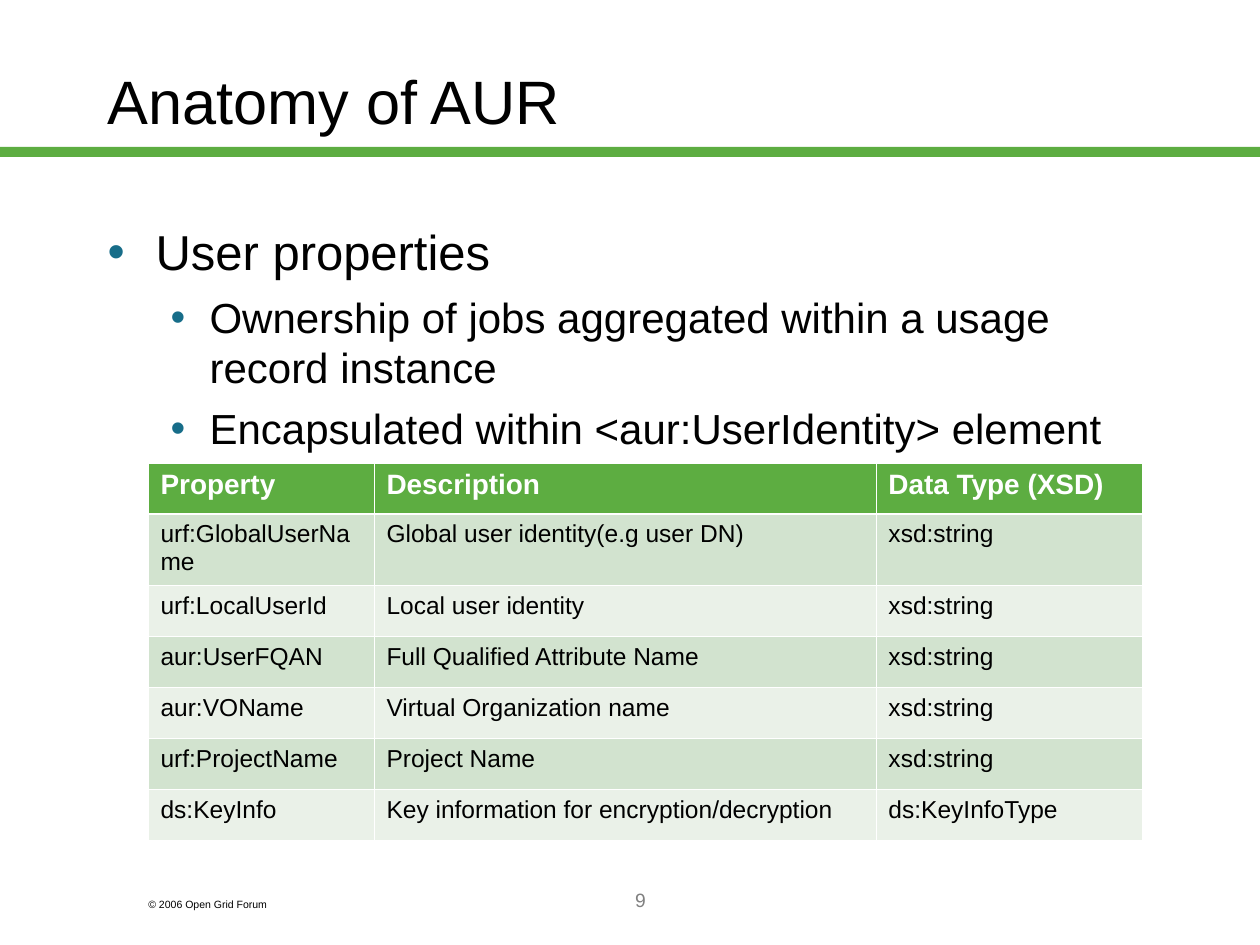
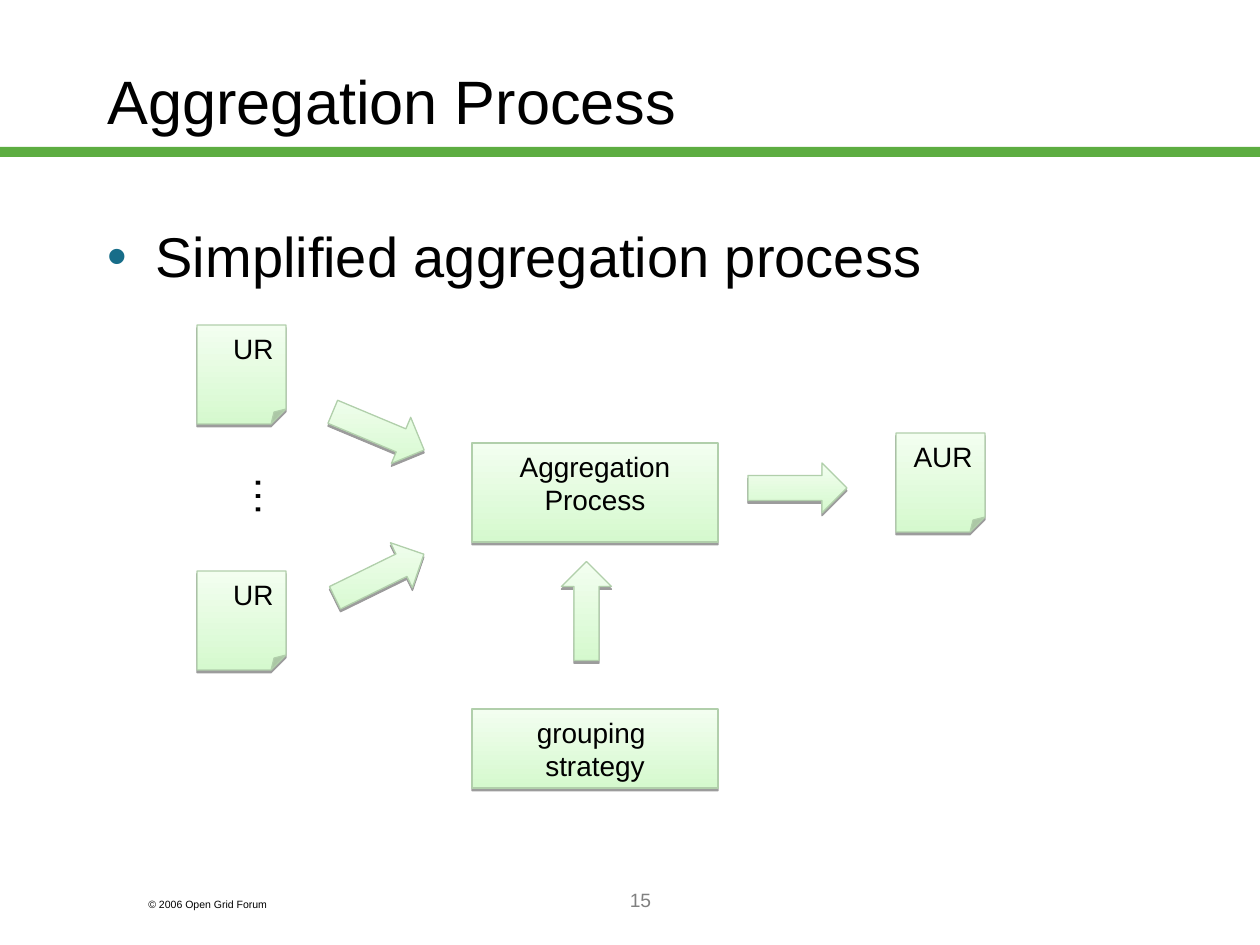
from lxml.etree import SubElement
from pptx import Presentation
from pptx.dml.color import RGBColor
from pptx.enum.shapes import MSO_SHAPE as SHAPE
from pptx.enum.text import MSO_ANCHOR as ANCHOR, MSO_AUTO_SIZE as AUTO, PP_ALIGN as ALIGN
from pptx.oxml.ns import qn
from pptx.util import Emu, Pt

SCALE = 914400 / 126  # EMU per px
FONT = "Arial"
BLACK, WHITE, GREY = "000000", "FFFFFF", "808080"
GREEN, BULLET = "5DAD41", "176D89"
ROW_FILLS = ("D2E3CF", "EAF1E8")
GRADIENT, OUTLINE = ("D5F9CE", "F3FEF0"), "B1CFAB"
INDENTS = ((48, 48), (102, 39))  # text offset and hanging part per level

USER_PROPERTIES = (
    ("Property", "Description", "Data Type (XSD)"),
    ("urf:GlobalUserName", "Global user identity(e.g user DN)", "xsd:string"),
    ("urf:LocalUserId", "Local user identity", "xsd:string"),
    ("aur:UserFQAN", "Full Qualified Attribute Name", "xsd:string"),
    ("aur:VOName", "Virtual Organization name", "xsd:string"),
    ("urf:ProjectName", "Project Name", "xsd:string"),
    ("ds:KeyInfo", "Key information for encryption/decryption", "ds:KeyInfoType"),
)


def px(n):
    return Emu(round(n * SCALE))


def rgb(value):
    return RGBColor.from_string(value)


def set_attrs(obj, fmt):
    for name, value in fmt.items():
        setattr(obj, name, value)


def place(sp, left, top, width, height):
    set_attrs(sp, dict(left=px(left), top=px(top), width=px(width), height=px(height)))


def write(p, text, size, color=BLACK, bold=False, align=ALIGN.LEFT):
    p.alignment = align
    r = p.add_run()
    r.text = text
    set_attrs(r.font, dict(name=FONT, size=Pt(size), bold=bold))
    r.font.color.rgb = rgb(color)


def write_lines(tf, text, size, **fmt):
    for i, line in enumerate(text.split("\n")):
        write(tf.add_paragraph() if i else tf.paragraphs[0], line, size, **fmt)


def add_label(slide, box, text, size, wrap=True, **fmt):
    tf = slide.shapes.add_textbox(*map(px, box)).text_frame
    tf.word_wrap = wrap
    write_lines(tf, text, size, **fmt)
    return tf


# Shared frame: title, band, copyright line and slide number
def add_slide(prs, title, number):
    slide = prs.slides.add_slide(prs.slide_layouts[1])
    band = slide.shapes.add_shape(SHAPE.RECTANGLE, *map(px, (0, 147, 1260, 10)))
    band.shadow.inherit = False
    band.fill.solid()
    band.fill.fore_color.rgb = rgb(GREEN)
    band.line.fill.background()
    add_label(slide, (136, 892, 189, 25), "© 2006 Open Grid Forum", 6)
    add_label(slide, (273, 882, 735, 63), str(number), 11, color=GREY, align=ALIGN.CENTER)
    place(slide.shapes.title, 95, 21, 1071, 158)
    tf = slide.shapes.title.text_frame
    set_attrs(tf, dict(auto_size=AUTO.NONE, vertical_anchor=ANCHOR.MIDDLE))
    write(tf.paragraphs[0], title, 35)
    return slide


# Bulleted list of (level, text, size)
def add_bullets(slide, items):
    body = slide.placeholders[1]
    place(body, 95, 210, 1071, 567)
    tf = body.text_frame
    set_attrs(tf, dict(auto_size=AUTO.NONE, margin_top=px(12)))
    for i, (level, text, size) in enumerate(items):
        p = tf.add_paragraph() if i else tf.paragraphs[0]
        set_attrs(p, dict(level=level, space_before=Pt(6 if i else 0)))
        indent, hanging = INDENTS[level]
        pPr = p._p.get_or_add_pPr()
        pPr.set("marL", str(px(indent)))
        pPr.set("indent", str(-px(hanging)))
        SubElement(SubElement(pPr, qn("a:buClr")), qn("a:srgbClr"), val=BULLET)
        SubElement(pPr, qn("a:buFont"), typeface=FONT)
        SubElement(pPr, qn("a:buChar"), char="•")
        write(p, text, size)


def add_borders(cell, widths):
    tcPr = cell._tc.get_or_add_tcPr()
    for side, width in widths.items():
        ln = SubElement(tcPr, qn("a:ln" + side), w=str(Pt(width)))
        SubElement(SubElement(ln, qn("a:solidFill")), qn("a:srgbClr"), val=WHITE)


def add_table(slide, left, top, widths, heights, rows):
    frame = slide.shapes.add_table(len(rows), len(widths), px(left), px(top),
                                   px(sum(widths)), px(sum(heights)))
    table = frame.table
    table.horz_banding = False
    for column, width in zip(table.columns, widths):
        column.width = px(width)
    for i, (texts, height) in enumerate(zip(rows, heights)):
        table.rows[i].height = px(height)
        header = i == 0
        for cell, text in zip(table.rows[i].cells, texts):
            add_borders(cell, dict(L=0.45, R=0.45, T=1.47 if i == 1 else 0.45,
                                   B=1.47 if header else 0.45))
            cell.fill.solid()
            cell.fill.fore_color.rgb = rgb(GREEN if header else ROW_FILLS[(i - 1) % 2])
            write(cell.text_frame.paragraphs[0], text, 16 if header else 14,
                  color=WHITE if header else BLACK, bold=header)


# Diagram shapes with a pale gradient that always runs upwards
def add_node(slide, kind, box, text="", align=ALIGN.CENTER, rotation=0):
    sp = slide.shapes.add_shape(kind, *map(px, box))
    sp.rotation = rotation
    sp.fill.gradient()
    sp.fill.gradient_angle = (90 + rotation) % 360
    for stop, color in zip(sp.fill.gradient_stops, GRADIENT):
        stop.color.rgb = rgb(color)
    sp.line.color.rgb = rgb(OUTLINE)
    sp.line.width = Pt(0.75)
    add_shadow(sp)
    if text:
        set_attrs(sp.text_frame, dict(word_wrap=True, vertical_anchor=ANCHOR.TOP))
        write_lines(sp.text_frame, text, 16, align=align)


def add_shadow(sp):
    sp.shadow.inherit = False
    effects = sp._element.spPr.find(qn("a:effectLst"))
    shadow = SubElement(effects, qn("a:outerShdw"), blurRad="0", dist=str(Pt(1.6)),
                        dir="5400000", rotWithShape="0")
    color = SubElement(shadow, qn("a:srgbClr"), val=BLACK)
    SubElement(color, qn("a:alpha"), val="38000")


def add_record(slide, left, top, text):
    add_node(slide, SHAPE.FOLDED_CORNER, (left, top, 89, 99), text, ALIGN.RIGHT)


def add_arrow(slide, left, top, rotation=0):
    add_node(slide, SHAPE.RIGHT_ARROW, (left, top, 99, 50), rotation=rotation)


def build_anatomy(prs):
    slide = add_slide(prs, "Anatomy of AUR", 9)
    add_bullets(slide, (
        (0, "User properties", 28),
        (1, "Ownership of jobs aggregated within a usage record instance", 24),
        (1, "Encapsulated within <aur:UserIdentity> element", 24),
    ))
    add_table(slide, 148, 463, (226, 502, 266), (51, 71) + (51,) * 5, USER_PROPERTIES)


def build_process(prs):
    slide = add_slide(prs, "Aggregation Process", 15)
    add_bullets(slide, ((0, "Simplified aggregation process", 32),))

    # Records going in and coming out
    for left, top, text in ((197, 325, "UR"), (197, 571, "UR"), (896, 433, "AUR")):
        add_record(slide, left, top, text)
    dots = add_label(slide, (228, 462, 76, 55), "…", 24, wrap=False, align=ALIGN.RIGHT)
    set_attrs(dots, dict(margin_left=px(6), margin_right=px(6),
                         margin_top=px(13), margin_bottom=px(13)))
    dots._txBody.bodyPr.set("vert", "eaVert")

    # Process, its strategy and the flow between the parts
    add_node(slide, SHAPE.RECTANGLE, (472, 443, 246, 99), "Aggregation Process")
    add_node(slide, SHAPE.RECTANGLE, (472, 709, 246, 79), "grouping \nstrategy")
    for left, top, rotation in ((329, 406, 22.7), (330, 551, 333.9),
                                (748, 463, 0), (537, 586, 270)):
        add_arrow(slide, left, top, rotation)


def main():
    prs = Presentation()
    set_attrs(prs, dict(slide_width=px(1260), slide_height=px(945)))
    build_anatomy(prs)
    build_process(prs)
    prs.save("out.pptx")


if __name__ == "__main__":
    main()
